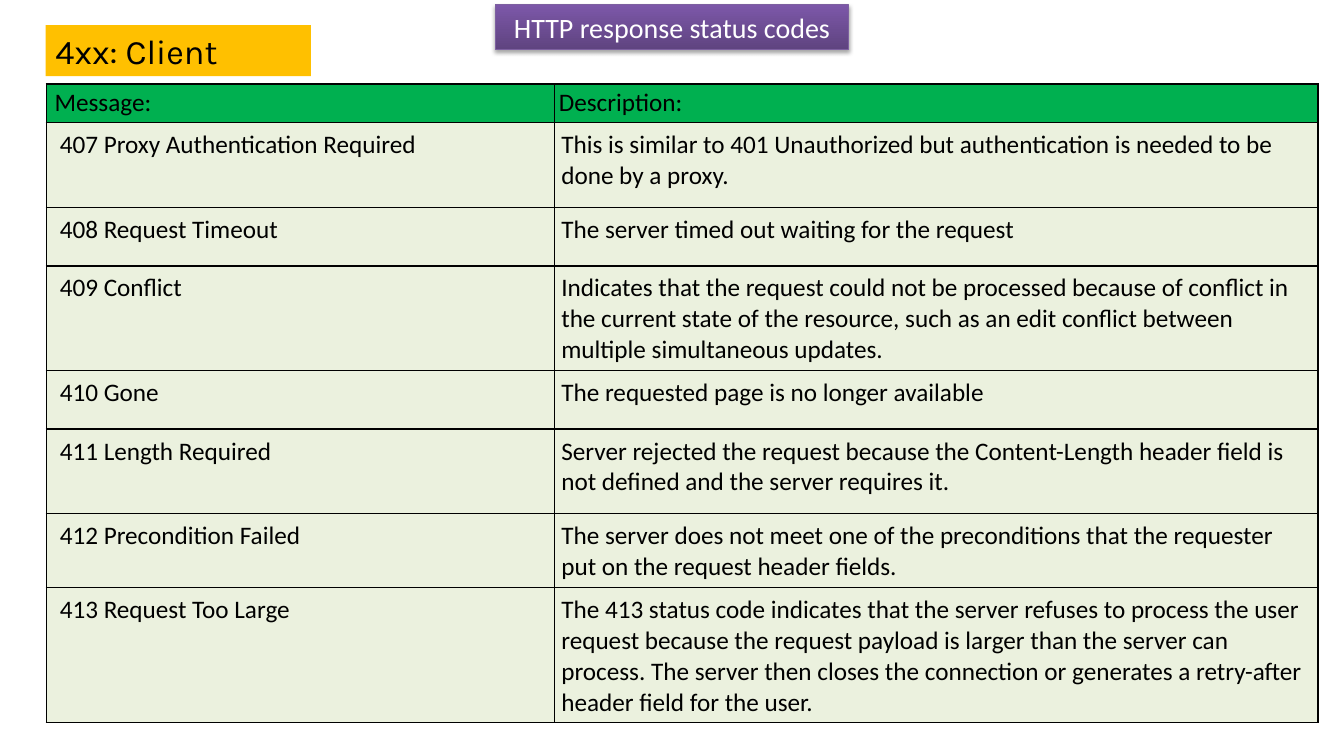
from lxml.etree import SubElement
from pptx import Presentation
from pptx.dml.color import RGBColor
from pptx.enum.shapes import MSO_SHAPE
from pptx.enum.text import MSO_ANCHOR, PP_ALIGN
from pptx.oxml import parse_xml
from pptx.oxml.ns import nsdecls, qn
from pptx.util import Pt

BLACK = RGBColor(0x00, 0x00, 0x00)
WHITE = RGBColor(0xFF, 0xFF, 0xFF)
AMBER = RGBColor(0xFF, 0xC0, 0x00)
GREEN = RGBColor(0x00, 0xB0, 0x50)
PALE_GREEN = RGBColor(0xEB, 0xF1, 0xDE)
PURPLE_DARK = RGBColor(0x5F, 0x44, 0x80)
PURPLE_LIGHT = RGBColor(0x7C, 0x57, 0xA8)
PURPLE_LINE = RGBColor(0x7D, 0x60, 0xA0)

TITLE = "HTTP response status codes"
CATEGORY = "4xx: Client"
HEADER = ("Message:", "Description:")
CODES = [
    ("407 Proxy Authentication Required",
     "This is similar to 401 Unauthorized but authentication is needed to be "
     "done by a proxy."),
    ("408 Request Timeout", "The server timed out waiting for the request"),
    ("409 Conflict",
     "Indicates that the request could not be processed because of conflict in "
     "the current state of the resource, such as an edit conflict between "
     "multiple simultaneous updates."),
    ("410 Gone", "The requested page is no longer available"),
    ("411 Length Required",
     "Server rejected the request because the Content-Length header field is "
     "not defined and the server requires it."),
    ("412 Precondition Failed",
     "The server does not meet one of the preconditions that the requester "
     "put on the request header fields."),
    ("413 Request Too Large",
     "The 413 status code indicates that the server refuses to process the user "
     "request because the request payload is larger than the server can "
     "process. The server then closes the connection or generates a retry-after "
     "header field for the user."),
]
COL_WIDTHS = (363, 545.5)
ROW_HEIGHTS = (27.5, 60.5, 42, 74.5, 42, 60.5, 53, 96)
# left inset of each column, then top, right and bottom
HEADER_INSETS = ((6, 3.25), (2.75, 2.75, 2.5))
BODY_INSETS = ((9.75, 5), (5, 5, 3))


def set_font(p, name, size, color):
    p.font.name, p.font.size = name, Pt(size)
    p.font.color.rgb = color


def set_margins(frame, left, top, right, bottom):
    frame.margin_left, frame.margin_top = Pt(left), Pt(top)
    frame.margin_right, frame.margin_bottom = Pt(right), Pt(bottom)


def add_borders(cell):
    tcPr = cell._tc.get_or_add_tcPr()
    for i, side in enumerate(("lnL", "lnR", "lnT", "lnB")):
        ln = parse_xml(f'<a:{side} {nsdecls("a")} w="{Pt(1)}"/>')
        fill = SubElement(ln, qn("a:solidFill"))
        SubElement(fill, qn("a:srgbClr"), val=str(BLACK))
        tcPr.insert(i, ln)


def add_title(s):
    sp = s.shapes.title
    sp.left, sp.top, sp.width, sp.height = Pt(354), Pt(3.5), Pt(252), Pt(32)
    sp.fill.gradient()
    sp.fill.gradient_angle = 90
    for stop, color in zip(sp.fill.gradient_stops, (PURPLE_DARK, PURPLE_LIGHT)):
        stop.color.rgb = color
    sp.line.color.rgb = PURPLE_LINE
    sp.line.width = Pt(0.75)
    sp._element.spPr.append(parse_xml(
        f'<a:effectLst {nsdecls("a")}><a:outerShdw blurRad="{Pt(3.1)}" '
        f'dist="{Pt(1.8)}" dir="5400000" rotWithShape="0"><a:srgbClr val="{BLACK}">'
        '<a:alpha val="35000"/></a:srgbClr></a:outerShdw></a:effectLst>'))
    tf = sp.text_frame
    tf.text = TITLE
    tf.vertical_anchor = MSO_ANCHOR.MIDDLE
    set_margins(tf, 7.2, 3.6, 7.2, 3.6)
    p = tf.paragraphs[0]
    p.alignment = PP_ALIGN.CENTER
    set_font(p, "Calibri", 20, WHITE)


def add_category(s):
    sp = s.shapes.add_shape(MSO_SHAPE.RECTANGLE, Pt(32.5), Pt(18), Pt(189.5), Pt(36.5))
    sp.shadow.inherit = False
    sp.fill.solid()
    sp.fill.fore_color.rgb = AMBER
    sp.line.fill.background()
    tf = sp.text_frame
    tf.word_wrap = True
    tf.vertical_anchor = MSO_ANCHOR.TOP
    tf.text = CATEGORY
    p = tf.paragraphs[0]
    p.alignment = PP_ALIGN.LEFT
    set_font(p, "Karla", 24.5, BLACK)


def add_codes(s):
    rows = [HEADER] + CODES
    table = s.shapes.add_table(len(rows), len(HEADER), Pt(33), Pt(60),
                               Pt(sum(COL_WIDTHS)), Pt(sum(ROW_HEIGHTS))).table
    for col, width in zip(table.columns, COL_WIDTHS):
        col.width = Pt(width)
    for r, (row, height) in enumerate(zip(rows, ROW_HEIGHTS)):
        table.rows[r].height = Pt(height)
        lefts, others = BODY_INSETS if r else HEADER_INSETS
        for c, text in enumerate(row):
            cell = table.cell(r, c)
            cell.text = text
            set_margins(cell, lefts[c], *others)
            cell.fill.solid()
            cell.fill.fore_color.rgb = PALE_GREEN if r else GREEN
            add_borders(cell)
            p = cell.text_frame.paragraphs[0]
            set_font(p, "Calibri", 18, BLACK)
            p.font.bold = False


def main():
    prs = Presentation()
    prs.slide_width, prs.slide_height = Pt(960), Pt(540)
    s = prs.slides.add_slide(prs.slide_layouts[5])
    add_title(s)
    add_category(s)
    add_codes(s)
    prs.save("out.pptx")


if __name__ == "__main__":
    main()
